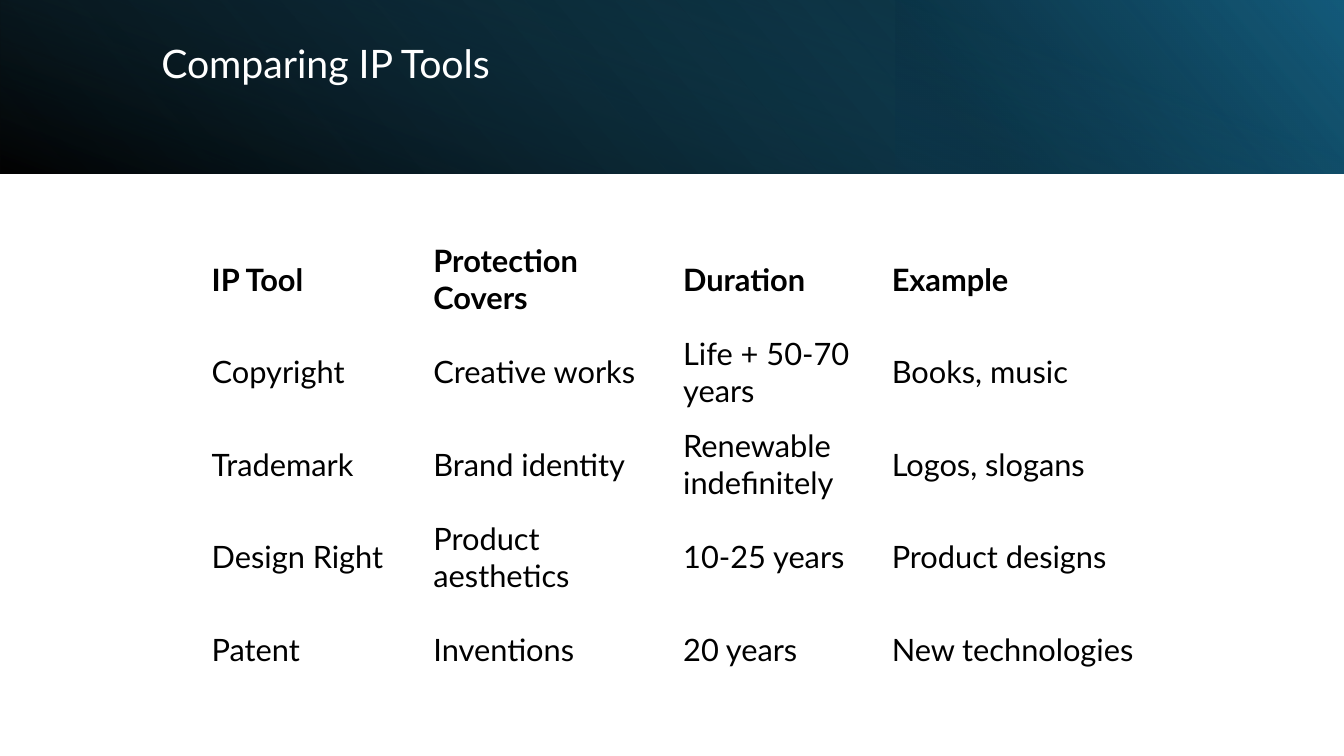
import pptx
import pptx.util
import pptx.dml.color
import pptx.enum.shapes
import pptx.enum.text
import pptx.oxml.ns
from lxml import etree

Pt = pptx.util.Pt
ANCHOR = pptx.enum.text.MSO_ANCHOR
COLORS = {
    "black": "000000",
    "white": "FFFFFF",
    "navy": "0B3041",
    "blue": "104862",
    "teal": "156082",
}
FONT = "Lato"
WIDTH, HEIGHT, BAND = 960, 540, 124
COLUMNS = [158.4, 178.4, 149, 190.5]
ROW_HEIGHT = 66.1
ROWS = [
    ["IP Tool", "Protection Covers", "Duration", "Example"],
    ["Copyright", "Creative works", "Life + 50-70 years", "Books, music"],
    ["Trademark", "Brand identity", "Renewable indefinitely", "Logos, slogans"],
    ["Design Right", "Product aesthetics", "10-25 years", "Product designs"],
    ["Patent", "Inventions", "20 years", "New technologies"],
]


def rgb(name):
    return pptx.dml.color.RGBColor.from_string(COLORS[name])


def style_text(p, size, color, bold=False):
    p.font.name = FONT
    p.font.size = Pt(size)
    p.font.bold = bold
    p.font.color.rgb = rgb(color)


def add_gradient(s, box, stops, angle, rotation=0, flip=False):
    sp = s.shapes.add_shape(
        pptx.enum.shapes.MSO_SHAPE.RECTANGLE, *[Pt(v) for v in box])
    sp.shadow.inherit = False
    sp.line.fill.background()
    sp.rotation = rotation
    if flip:
        sp._element.spPr.find(pptx.oxml.ns.qn("a:xfrm")).set("flipH", "1")
    sp.fill.gradient()
    sp.fill.gradient_angle = angle
    for stop, (position, color, _) in zip(sp.fill.gradient_stops, stops):
        stop.position = position / 100
        stop.color.rgb = rgb(color)
    colors = sp._element.spPr.iter(pptx.oxml.ns.qn("a:srgbClr"))
    for clr, (_, _, opacity) in zip(colors, stops):
        alpha = etree.SubElement(clr, pptx.oxml.ns.qn("a:alpha"))
        alpha.set("val", str(opacity * 1000))


def add_title(s, text):
    sp = s.shapes.title
    sp._element.getparent().append(sp._element)
    sp.left, sp.top, sp.width, sp.height = Pt(108), Pt(27.4), Pt(790.6), Pt(69)
    tf = sp.text_frame
    tf.text = text
    tf.word_wrap = True
    tf.auto_size = pptx.enum.text.MSO_AUTO_SIZE.NONE
    tf.vertical_anchor = ANCHOR.TOP
    tf.margin_top = Pt(4.4)
    p = tf.paragraphs[0]
    p.alignment = pptx.enum.text.PP_ALIGN.LEFT
    p.line_spacing = 0.9
    style_text(p, 28, "white")


def add_comparison(s):
    frame = s.shapes.add_table(
        len(ROWS), len(COLUMNS), Pt(142.6), Pt(166.5),
        Pt(sum(COLUMNS)), Pt(ROW_HEIGHT * len(ROWS)))
    table = frame.table
    table.first_row = table.horz_banding = False
    for column, width in zip(table.columns, COLUMNS):
        column.width = Pt(width)
    for r, texts in enumerate(ROWS):
        table.rows[r].height = Pt(ROW_HEIGHT)
        for c, text in enumerate(texts):
            cell = table.cell(r, c)
            cell.text = text
            cell.fill.background()
            cell.vertical_anchor = ANCHOR.MIDDLE
            cell.margin_left = cell.margin_right = Pt(8.64)
            cell.margin_top = cell.margin_bottom = Pt(4.32)
            style_text(cell.text_frame.paragraphs[0], 22, "black", r == 0)


def main():
    prs = pptx.Presentation()
    prs.slide_width, prs.slide_height = Pt(WIDTH), Pt(HEIGHT)
    s = prs.slides.add_slide(prs.slide_layouts[5])
    s.background.fill.solid()
    s.background.fill.fore_color.rgb = rgb("white")
    add_gradient(s, (0, 0, WIDTH, BAND),
                 [(0, "black", 96), (100, "blue", 100)], 140, flip=True)
    add_gradient(s, (640, 0, 320, BAND),
                 [(19, "navy", 68), (100, "teal", 79)], 320, 180, True)
    offset = (WIDTH - BAND) / 2
    add_gradient(s, (offset, -offset, BAND, WIDTH),
                 [(23, "teal", 0), (99, "black", 74)], 340, 90)
    add_title(s, "Comparing IP Tools")
    add_comparison(s)
    prs.save("out.pptx")


if __name__ == "__main__":
    main()
